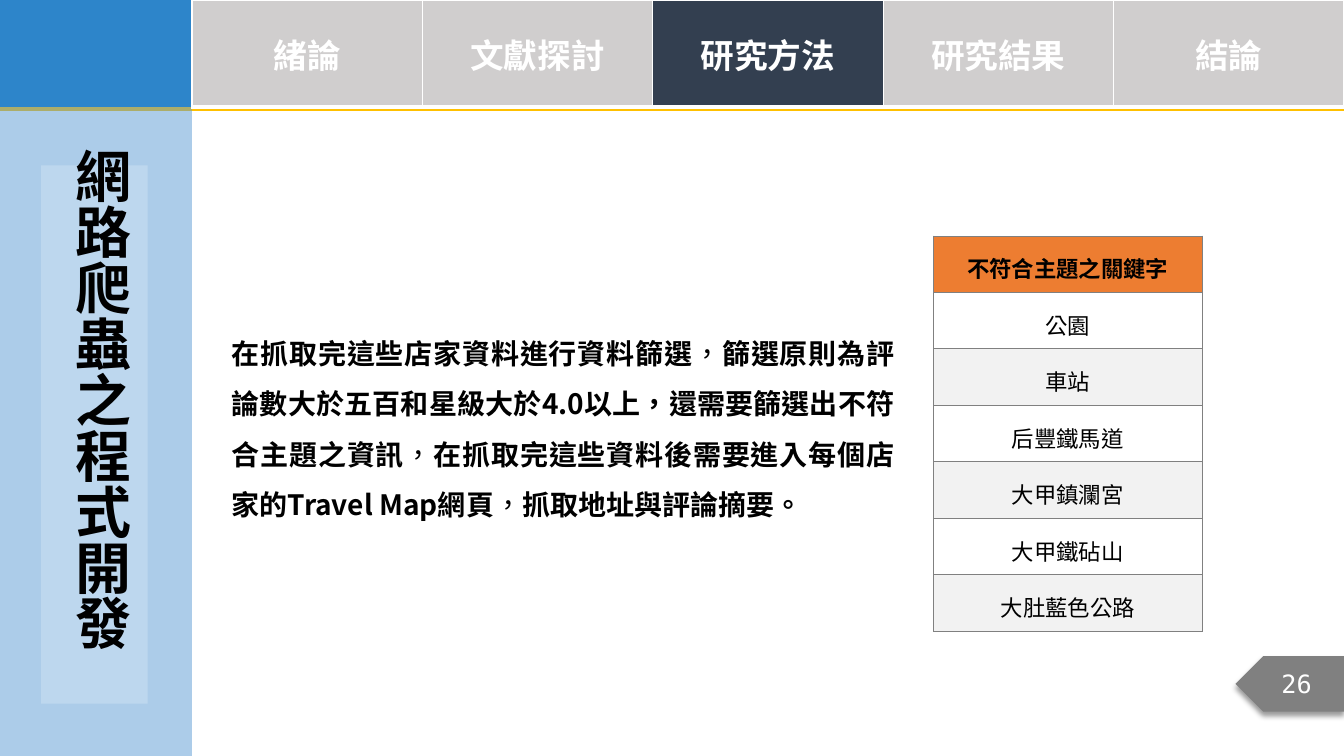
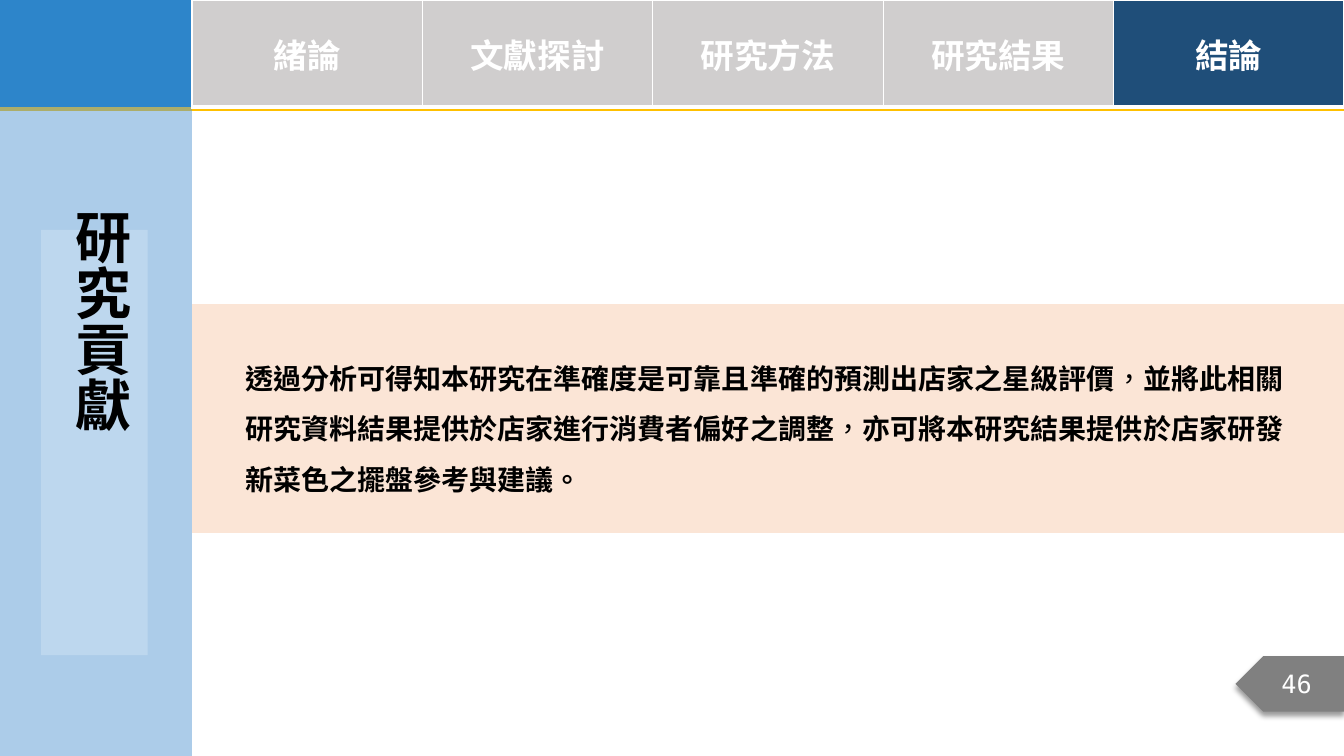
from dataclasses import dataclass

from lxml import etree
from pptx import Presentation
from pptx import util as u
from pptx.dml.color import RGBColor
from pptx.enum import shapes, text
from pptx.oxml import ns

COLORS = {
    "band": "0070C0", "gold": "FFC000", "sidebar": "5B9BD5", "panel": "BDD7EE",
    "tab": "D0CECE", "navy": "333F50", "blue": "1F4E79", "grey": "808080",
    "orange": "ED7D31", "stripe": "F2F2F2", "peach": "FBE5D6",
    "white": "FFFFFF", "black": "000000",
}
CJK, LATIN, MONO = "Noto Sans CJK SC", "Calibri", "DejaVu Sans Mono"
TABS = ["緒論", "文獻探討", "研究方法", "研究結果", "結論"]

# The slide is a grid of 140 columns and 100 rows
WIDTH, HEIGHT = u.Inches(13.33), u.Inches(7.5)
COLUMNS, ROWS = 140, 100
SIDEBAR, BAND = 20, 14.13


@dataclass
class Box:
    left: float
    top: float
    width: float
    height: float

    def inside(self, left, top, width, height):
        return Box(self.left + left, self.top + top, width, height)

    def emu(self):
        column, row = WIDTH / COLUMNS, HEIGHT / ROWS
        return (round(self.left * column), round(self.top * row),
                round(self.width * column), round(self.height * row))


PAGE = Box(0, 0, COLUMNS, ROWS)
CONTENT = Box(SIDEBAR, 0, COLUMNS - SIDEBAR, ROWS)


def rgb(name):
    return RGBColor.from_string(COLORS[name])


def add_element(parent, tag, **attributes):
    return etree.SubElement(parent, ns.qn(tag), {k: str(v) for k, v in attributes.items()})


def add_color(parent, name, alpha=100):
    color = add_element(parent, "a:srgbClr", val=COLORS[name])
    if alpha < 100:
        add_element(color, "a:alpha", val=alpha * 1000)


def add_run(paragraph, words, size, color="black", font=CJK, bold=True):
    run = paragraph.add_run()
    run.text = words
    run.font.size, run.font.bold, run.font.name = u.Pt(size), bold, font
    run.font.color.rgb = rgb(color)
    properties = run.font._element
    properties.set("lang", "zh-TW")
    add_element(properties, "a:ea", typeface=font)


def add_block(slide, box, color, preset=shapes.MSO_SHAPE.RECTANGLE):
    shape = slide.shapes.add_shape(preset, *box.emu())
    shape.shadow.inherit = False
    shape.fill.solid()
    shape.fill.fore_color.rgb = rgb(color)
    shape.line.fill.background()
    return shape


def add_shadow(shape, color, alpha, blur, distance):
    effects = shape._element.spPr.find(ns.qn("a:effectLst"))
    shadow = add_element(effects, "a:outerShdw", blurRad=u.Pt(blur), dist=u.Pt(distance),
                         dir=5400000, algn="t", rotWithShape=0)
    add_color(shadow, color, alpha)


def format_cell(cell, words, fill, borders, **font):
    """Borders map a side (L, R, T, B) to a colour and a width."""
    properties = cell._tc.get_or_add_tcPr()
    for side in "LRTB":
        color, width = borders[side]
        line = add_element(properties, "a:ln" + side, w=u.Pt(width))
        add_color(add_element(line, "a:solidFill"), color)
    cell.fill.solid()
    cell.fill.fore_color.rgb = rgb(fill)
    paragraph = cell.text_frame.paragraphs[0]
    paragraph.alignment = text.PP_ALIGN.CENTER
    add_run(paragraph, words, **font)
    return paragraph


def add_plain_table(slide, box, rows, columns):
    table = slide.shapes.add_table(rows, columns, *box.emu()).table
    table.first_row = table.horz_banding = False
    return table


# Shared frame
def add_tabs(slide, box, active, active_color):
    table = add_plain_table(slide, box, 1, len(TABS))
    borders = {side: ("white", 3 if side == "B" else 1) for side in "LRTB"}
    for index, name in enumerate(TABS):
        cell = table.cell(0, index)
        fill = active_color if name == active else "tab"
        format_cell(cell, name, fill, borders, size=24, color="white")
        cell.vertical_anchor = text.MSO_ANCHOR.MIDDLE


def add_page_tag(slide, box, number):
    tag = add_block(slide, box, "grey", shapes.MSO_SHAPE.PENTAGON)
    tag._element.spPr.find(ns.qn("a:xfrm")).set("flipH", "1")
    add_shadow(tag, "black", 40, 4, 3)
    tag.text_frame.vertical_anchor = text.MSO_ANCHOR.MIDDLE
    paragraph = tag.text_frame.paragraphs[0]
    paragraph.alignment = text.PP_ALIGN.CENTER
    add_run(paragraph, str(number), 18, "white", MONO, False)


def place_title(slide, box, words):
    title = slide.shapes.title
    title.left, title.top, title.width, title.height = box.emu()
    frame = title.text_frame
    frame.auto_size = text.MSO_AUTO_SIZE.NONE
    frame.vertical_anchor = text.MSO_ANCHOR.MIDDLE
    frame._txBody.bodyPr.set("vert", "eaVert")
    paragraph = frame.paragraphs[0]
    paragraph.alignment = text.PP_ALIGN.LEFT
    paragraph.line_spacing = 1.0
    add_run(paragraph, words, 40)
    slide.shapes._spTree.append(title._element)  # bring to front


def add_framed_slide(presentation, number, title, panel, title_box, active, active_color):
    slide = presentation.slides.add_slide(presentation.slide_layouts[5])
    add_page_tag(slide, PAGE.inside(128.7, 86.8, 11.3, 7.33), number)
    band = add_block(slide, PAGE.inside(0, 0, COLUMNS, BAND), "band")
    add_shadow(band, "gold", 100, 0, 3)
    sidebar = add_block(slide, PAGE.inside(0, 0, SIDEBAR, ROWS), "sidebar")
    add_element(sidebar._element.spPr.find(ns.qn("a:solidFill"))[0], "a:alpha", val=50000)
    add_block(slide, panel, "panel")
    place_title(slide, title_box, title)
    add_tabs(slide, CONTENT.inside(0, 0, CONTENT.width, BAND), active, active_color)
    return slide


# Content regions
def add_body(slide, box, clauses, alignment):
    """Join bold clauses with light commas."""
    frame = slide.shapes.add_textbox(*box.emu()).text_frame
    frame.word_wrap = True
    paragraph = frame.paragraphs[0]
    paragraph.alignment = alignment
    paragraph.line_spacing = 1.5
    for index, clause in enumerate(clauses):
        if index:
            add_run(paragraph, "，", 20, font=LATIN, bold=False)
        add_run(paragraph, clause, 20)


def add_keyword_table(slide, box, words):
    table = add_plain_table(slide, box, len(words), 1)
    borders = dict.fromkeys("LRTB", ("grey", 0.5))
    for index, word in enumerate(words):
        fill = "orange" if index == 0 else ("white", "stripe")[(index + 1) % 2]
        cell = table.cell(index, 0)
        cell.margin_left = cell.margin_right = u.Inches(0.07)
        cell.margin_top = cell.margin_bottom = 0
        paragraph = format_cell(cell, word, fill, borders, size=16, bold=index == 0)
        paragraph.line_spacing = 1.5


def add_crawler_slide(presentation):
    slide = add_framed_slide(presentation, 26, "網路爬蟲之程式開發",
                             PAGE.inside(4.3, 21.87, 11.1, 71.2),
                             PAGE.inside(5.35, 18.93, 10.5, 72.93), "研究方法", "navy")
    add_keyword_table(slide, CONTENT.inside(77.23, 31.2, 28, 52.27), [
        "不符合主題之關鍵字", "公園", "車站", "后豐鐵馬道", "大甲鎮瀾宮", "大甲鐵砧山", "大肚藍色公路"])
    add_body(slide, CONTENT.inside(3.1, 41.6, 71.1, 27.47), [
        "在抓取完這些店家資料進行資料篩選",
        "篩選原則為評論數大於五百和星級大於4.0以上，還需要篩選出不符合主題之資訊",
        "在抓取完這些資料後需要進入每個店家的Travel Map網頁",
        "抓取地址與評論摘要。"], text.PP_ALIGN.JUSTIFY)


def add_contribution_slide(presentation):
    slide = add_framed_slide(presentation, 46, "研究貢獻",
                             PAGE.inside(4.3, 30.4, 11.1, 56.27),
                             PAGE.inside(5.35, 27.07, 10.5, 63.07), "結論", "blue")
    strip = CONTENT.inside(0, 40.27, CONTENT.width, 30.27)
    add_block(slide, strip, "peach", shapes.MSO_SHAPE.FLOWCHART_PROCESS)
    add_body(slide, strip.inside(4.5, 4.67, 112.5, 20.67), [
        "透過分析可得知本研究在準確度是可靠且準確的預測出店家之星級評價",
        "並將此相關研究資料結果提供於店家進行消費者偏好之調整",
        "亦可將本研究結果提供於店家研發新菜色之擺盤參考與建議。"], text.PP_ALIGN.LEFT)


def main():
    presentation = Presentation()
    presentation.slide_width, presentation.slide_height = WIDTH, HEIGHT
    add_crawler_slide(presentation)
    add_contribution_slide(presentation)
    presentation.save("out.pptx")


if __name__ == "__main__":
    main()
